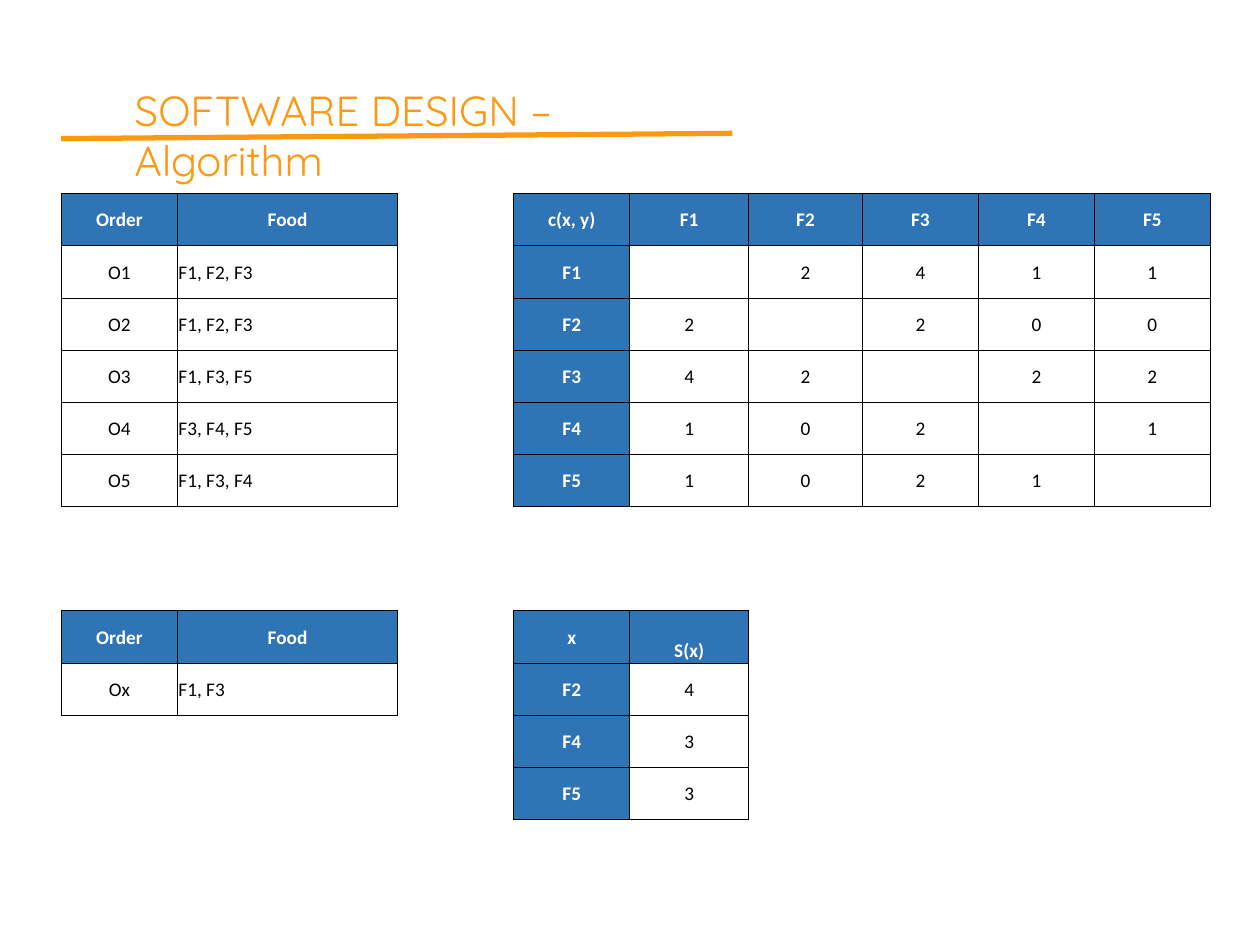
from dataclasses import dataclass

from lxml.etree import SubElement
from pptx import Presentation
from pptx.dml.color import RGBColor as RGB
from pptx.enum.shapes import MSO_CONNECTOR as CONN
from pptx.enum.text import MSO_ANCHOR as ANCHOR, PP_ALIGN as ALIGN
from pptx.oxml.ns import qn
from pptx.util import Pt


@dataclass(frozen=True)
class Theme:
    """Colours, fonts and type sizes of the slide."""
    accent: str = "FC9914"
    head: str = "2F75B5"
    head_text: str = "FFFFFF"
    text: str = "000000"
    border: str = "000000"
    title_font: str = "Quicksand"
    table_font: str = "Calibri"
    title_size: float = 24
    table_size: float = 11


THEME = Theme()
SIDES = {"lnL": (0, -1), "lnR": (0, 1), "lnT": (-1, 0), "lnB": (1, 0)}
COLUMNS = [66.3, 126, 66.3, 66.3, 68, 65, 66.3, 66.3, 66.3]
ROW_COUNT = 12
FOODS = ["F1", "F2", "F3", "F4", "F5"]
ORDERS = [["Order", "Food"], ["O1", "F1, F2, F3"], ["O2", "F1, F2, F3"],
          ["O3", "F1, F3, F5"], ["O4", "F3, F4, F5"], ["O5", "F1, F3, F4"]]
COUNTS = [["", "2", "4", "1", "1"], ["2", "", "2", "0", "0"],
          ["4", "2", "", "2", "2"], ["1", "0", "2", "", "1"],
          ["1", "0", "2", "1", ""]]
PAIRS = [["c(x, y)", *FOODS]] + [[f, *row] for f, row in zip(FOODS, COUNTS)]
NEW_ORDER = [["Order", "Food"], ["Ox", "F1, F3"]]
SCORES = [["x", "S(x)"], ["F2", "4"], ["F4", "3"], ["F5", "3"]]
BLOCKS = [(0, 0, ORDERS, False), (0, 3, PAIRS, True),
          (8, 0, NEW_ORDER, False), (8, 3, SCORES, True)]


def write(tf, text, font, size, color, bold=False, align=ALIGN.LEFT):
    """Put one formatted run into a text frame."""
    p = tf.paragraphs[0]
    p.alignment = align
    r = p.add_run()
    r.text = text
    r.font.name, r.font.size, r.font.bold = font, Pt(size), bold
    r.font.color.rgb = RGB.from_string(color)


def add_title(s, text, x, y, w, h):
    """Place the title placeholder in its box."""
    sp = s.shapes.title
    sp.left, sp.top, sp.width, sp.height = Pt(x), Pt(y), Pt(w), Pt(h)
    tf = sp.text_frame
    tf.word_wrap = True
    tf.vertical_anchor = ANCHOR.TOP
    write(tf, text, THEME.title_font, THEME.title_size, THEME.accent)


def add_rule(s, x1, y1, x2, y2):
    """Draw the accent line under the title."""
    cx = s.shapes.add_connector(CONN.STRAIGHT, Pt(x1), Pt(y1), Pt(x2), Pt(y2))
    cx.line.color.rgb = RGB.from_string(THEME.accent)
    cx.line.width = Pt(3)
    SubElement(cx._element.spPr, qn("a:effectLst"))


def set_borders(cell, row, col, used):
    """Rule each side that touches a used cell and clear the others."""
    tc_pr = cell._tc.get_or_add_tcPr()
    for tag, (dr, dc) in SIDES.items():
        ln = SubElement(tc_pr, qn(f"a:{tag}"), w=str(Pt(0.5)))
        if (row, col) in used or (row + dr, col + dc) in used:
            fill = SubElement(ln, qn("a:solidFill"))
            SubElement(fill, qn("a:srgbClr"), val=THEME.border)
        else:
            SubElement(ln, qn("a:noFill"))


def layout_blocks(blocks):
    """Map each grid position to its text, header flag and alignment."""
    used = {}
    for top, left, rows, side_head in blocks:
        for i, row in enumerate(rows):
            for j, text in enumerate(row):
                head = i == 0 or (side_head and j == 0)
                centred = head or side_head or j == 0
                align = ALIGN.CENTER if centred else ALIGN.LEFT
                used[top + i, left + j] = text, head, align
    return used


def fill_cell(cell, text, head, align):
    """Colour a used cell and write its text."""
    if head:
        cell.fill.solid()
        cell.fill.fore_color.rgb = RGB.from_string(THEME.head)
    if text:
        color = THEME.head_text if head else THEME.text
        write(cell.text_frame, text, THEME.table_font, THEME.table_size,
              color, bold=head, align=align)


def add_grid(s, blocks, x, y, w, h):
    """Build the table that holds all blocks."""
    table = s.shapes.add_table(ROW_COUNT, len(COLUMNS), Pt(x), Pt(y),
                               Pt(w), Pt(h)).table
    table.first_row = table.horz_banding = False
    for column, width in zip(table.columns, COLUMNS):
        column.width = Pt(width * w / sum(COLUMNS))
    used = layout_blocks(blocks)
    for i, row in enumerate(table.rows):
        row.height = Pt(h / ROW_COUNT)
        for j, cell in enumerate(row.cells):
            cell.margin_left = cell.margin_right = cell.margin_top = Pt(0.6)
            cell.margin_bottom = Pt(0)
            cell.vertical_anchor = ANCHOR.MIDDLE
            set_borders(cell, i, j, used)
            cell.fill.background()
            if (i, j) in used:
                fill_cell(cell, *used[i, j])
    table.cell(8, 4).vertical_anchor = ANCHOR.BOTTOM


def main():
    """Build and save the slide."""
    prs = Presentation()
    prs.slide_width, prs.slide_height = Pt(720), Pt(540)
    s = prs.slides.add_slide(prs.slide_layouts[5])
    add_title(s, "SOFTWARE DESIGN – Algorithm", 69.8, 44.6, 350.6, 36)
    add_rule(s, 35, 79.2, 418.5, 76.2)
    add_grid(s, BLOCKS, 35.1, 110.7, 656.6, 357.8)
    prs.save("out.pptx")


if __name__ == "__main__":
    main()
